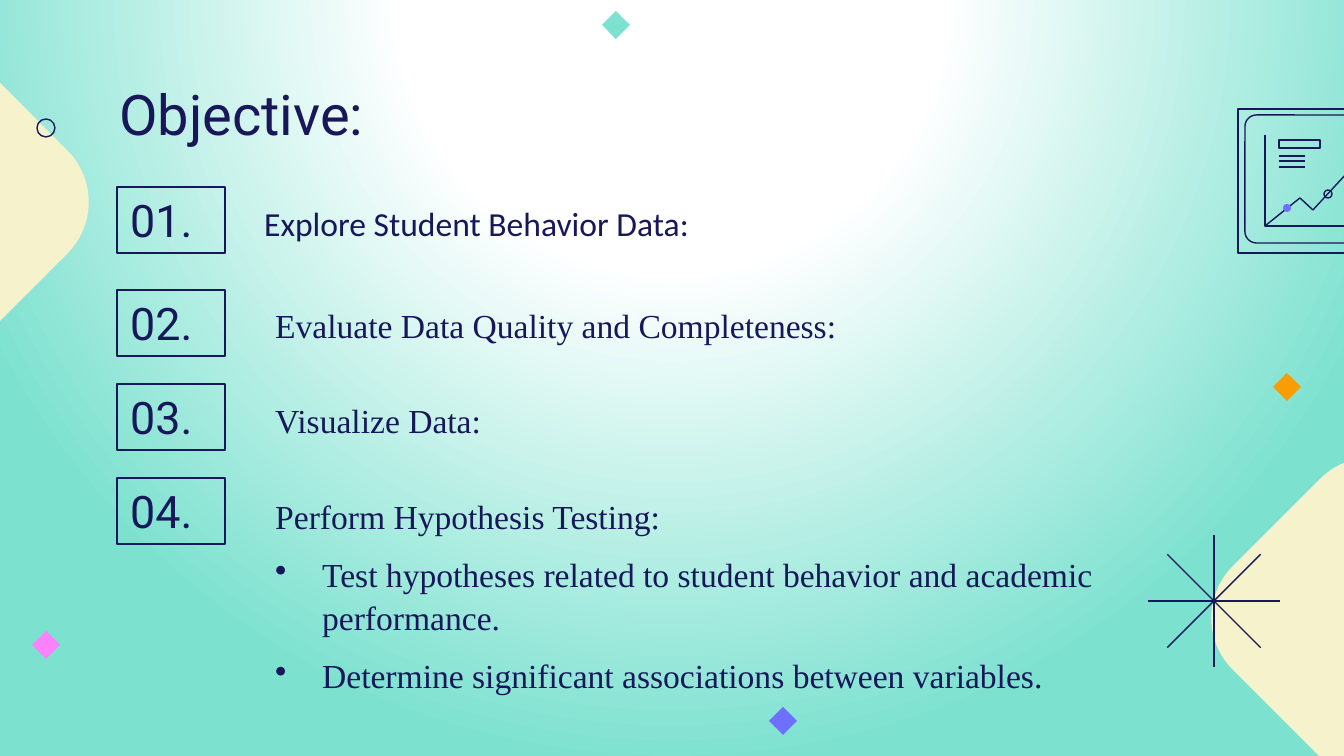
import dataclasses
import math

import lxml.etree
import pptx
import pptx.dml.color
import pptx.enum.shapes
import pptx.enum.text
import pptx.oxml
import pptx.oxml.ns
import pptx.util

EMU_PER_PX = 914400 / 134.4
SHAPES = pptx.enum.shapes.MSO_SHAPE
ANCHORS = pptx.enum.text.MSO_ANCHOR


@dataclasses.dataclass(frozen=True)
class Theme:
    ink: str = "17175A"
    cream: str = "F6F2CC"
    mint: str = "7CE1CF"
    pink: str = "FC81FD"
    violet: str = "6E6FFF"
    orange: str = "FA9D02"
    white: str = "FFFFFF"
    heading_font: str = "Roboto"
    body_font: str = "Times New Roman"
    first_item_font: str = "Calibri"
    title_size: int = 30
    number_size: int = 24
    body_size: int = 18
    line_width: float = 0.75


THEME = Theme()


def px(length):
    return pptx.util.Emu(round(length * EMU_PER_PX))


def rgb(color):
    return pptx.dml.color.RGBColor.from_string(color)


def outline(line):
    line.color.rgb = rgb(THEME.ink)
    line.width = pptx.util.Pt(THEME.line_width)


def paint(shape, fill=None):
    shape.shadow.inherit = False
    if fill:
        shape.fill.solid()
        shape.fill.fore_color.rgb = rgb(fill)
        shape.line.fill.background()
    else:
        shape.fill.background()
        outline(shape.line)


def add_preset(slide, preset, left, top, width, height, fill=None):
    shape = slide.shapes.add_shape(preset, px(left), px(top), px(width), px(height))
    paint(shape, fill)
    return shape


def add_centered(slide, preset, center_x, center_y, size, fill=None):
    return add_preset(slide, preset, center_x - size / 2, center_y - size / 2, size, size, fill)


def add_line(slide, start_x, start_y, end_x, end_y):
    connector = slide.shapes.add_connector(
        pptx.enum.shapes.MSO_CONNECTOR.STRAIGHT,
        px(start_x), px(start_y), px(end_x), px(end_y))
    outline(connector.line)
    properties = connector.element.find(pptx.oxml.ns.qn("p:spPr"))
    lxml.etree.SubElement(properties, pptx.oxml.ns.qn("a:effectLst"))


def add_polyline(slide, points):
    builder = slide.shapes.build_freeform(*points[0], scale=EMU_PER_PX)
    builder.add_line_segments(points[1:], close=False)
    paint(builder.convert_to_shape())


def add_text_box(slide, left, top, width, height, anchor=ANCHORS.TOP):
    box = slide.shapes.add_textbox(px(left), px(top), px(width), px(height))
    frame = box.text_frame
    frame.word_wrap = True
    frame.vertical_anchor = anchor
    frame.margin_left = frame.margin_right = pptx.util.Inches(0.1)
    frame.margin_top = frame.margin_bottom = pptx.util.Inches(0.1)
    return box


def write(box, text, *, font, size, item=False, bullet=False):
    frame = box.text_frame
    paragraph = frame.add_paragraph() if frame.text else frame.paragraphs[0]
    run = paragraph.add_run()
    run.text = text
    run.font.name = font
    run.font.size = pptx.util.Pt(size)
    run.font.color.rgb = rgb(THEME.ink)
    if item:
        paragraph.line_spacing = 1.07
        paragraph.space_after = pptx.util.Pt(8)
        properties = paragraph._p.get_or_add_pPr()
        properties.set("marL", str(px(67)))
        properties.set("indent", str(px(-47)))
        if bullet:
            color = lxml.etree.SubElement(properties, pptx.oxml.ns.qn("a:buClr"))
            lxml.etree.SubElement(color, pptx.oxml.ns.qn("a:srgbClr"), val=THEME.ink)
            lxml.etree.SubElement(properties, pptx.oxml.ns.qn("a:buChar"), char="•")


def set_background(slide):
    slide.background.fill.gradient()
    gradient = slide.element.find(".//" + pptx.oxml.ns.qn("a:gradFill"))
    stops = "".join(
        f'<a:gs pos="{position}000"><a:srgbClr val="{color}"/></a:gs>'
        for position, color in ((0, THEME.white), (35, THEME.white), (100, THEME.mint)))
    replacement = pptx.oxml.parse_xml(
        f'<a:gradFill {pptx.oxml.ns.nsdecls("a")} rotWithShape="1">'
        f'<a:gsLst>{stops}</a:gsLst><a:path path="circle">'
        '<a:fillToRect l="50000" t="-80000" r="50000" b="180000"/>'
        '</a:path></a:gradFill>')
    gradient.getparent().replace(gradient, replacement)


def add_decorations(slide):
    for center_x, center_y in ((-72, 202), (1372, 618)):
        corner = add_centered(slide, SHAPES.ROUNDED_RECTANGLE, center_x, center_y, 270, THEME.cream)
        corner.adjustments[0] = 0.27
        corner.rotation = 45
    for step in range(4):
        offset_x = 66 * math.cos(step * math.pi / 4)
        offset_y = 66 * math.sin(step * math.pi / 4)
        add_line(slide, 1214 - offset_x, 601 - offset_y, 1214 + offset_x, 601 + offset_y)
    for center_x, center_y, color in (
            (46, 645, THEME.pink), (783, 721, THEME.violet),
            (1287, 387, THEME.orange), (616, 25, THEME.mint)):
        add_centered(slide, SHAPES.DIAMOND, center_x, center_y, 28, color)
    add_centered(slide, SHAPES.OVAL, 46, 128, 18)


def add_chart_icon(slide):
    add_preset(slide, SHAPES.RECTANGLE, 1238, 109, 187, 144)
    screen = add_preset(slide, SHAPES.ROUNDED_RECTANGLE, 1245, 115, 180, 128)
    screen.adjustments[0] = 0.09
    add_polyline(slide, [(1265, 135), (1265, 226), (1414, 226)])
    add_polyline(slide, [(1265, 226), (1300, 198), (1313, 210),
                         (1360, 159), (1379, 184), (1414, 151)])
    add_centered(slide, SHAPES.OVAL, 1287, 208, 8, THEME.violet)
    add_centered(slide, SHAPES.OVAL, 1328, 194, 8)
    add_preset(slide, SHAPES.RECTANGLE, 1279, 140, 41, 8)
    for top in (156, 161, 167):
        add_line(slide, 1279, top, 1305, top)


def add_objective(slide, number, number_top, left, top, height, font, heading, bullets=()):
    number_box = add_text_box(slide, 117, number_top, 108, 66, ANCHORS.MIDDLE)
    outline(number_box.line)
    write(number_box, f"{number:02}.", font=THEME.heading_font, size=THEME.number_size)
    box = add_text_box(slide, left, top, 914, height)
    write(box, heading, font=font, size=THEME.body_size, item=True)
    for bullet in bullets:
        write(box, bullet, font=font, size=THEME.body_size, item=True, bullet=True)


def main():
    presentation = pptx.Presentation()
    presentation.slide_width, presentation.slide_height = px(1344), px(756)
    slide = presentation.slides.add_slide(presentation.slide_layouts[6])
    set_background(slide)
    add_decorations(slide)
    title = add_text_box(slide, 106, 66, 1133, 85)
    write(title, "Objective:", font=THEME.heading_font, size=THEME.title_size)
    objectives = (
        (187, 231, 187, 66, THEME.first_item_font, "Explore Student Behavior Data:"),
        (290, 242, 289, 59, THEME.body_font, "Evaluate Data Quality and Completeness:"),
        (384, 242, 384, 59, THEME.body_font, "Visualize Data:"),
        (478, 242, 480, 249, THEME.body_font, "Perform Hypothesis Testing:", (
            "Test hypotheses related to student behavior and academic performance.",
            "Determine significant associations between variables.")),
    )
    for number, objective in enumerate(objectives, start=1):
        add_objective(slide, number, *objective)
    add_chart_icon(slide)
    presentation.save("out.pptx")


if __name__ == "__main__":
    main()
